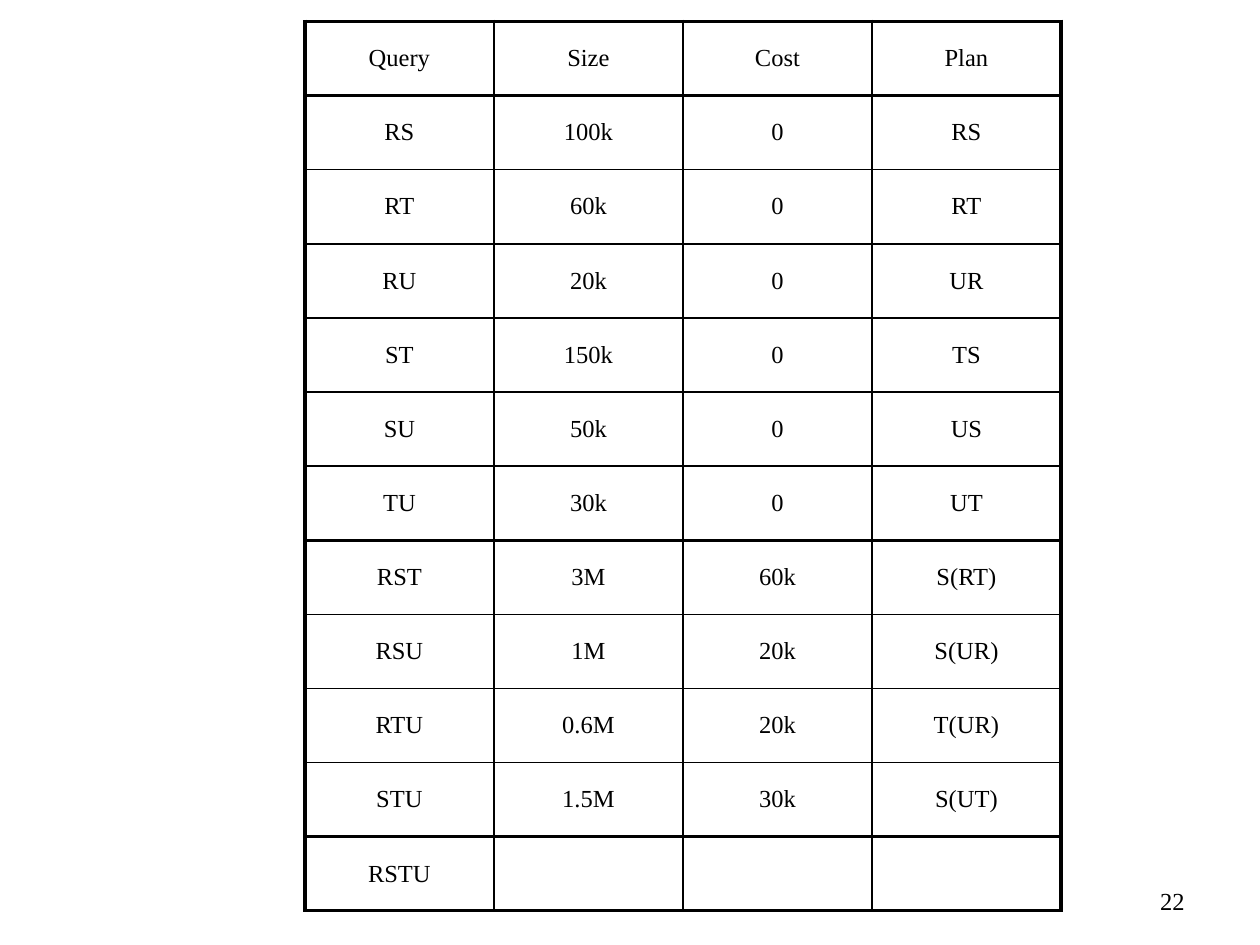
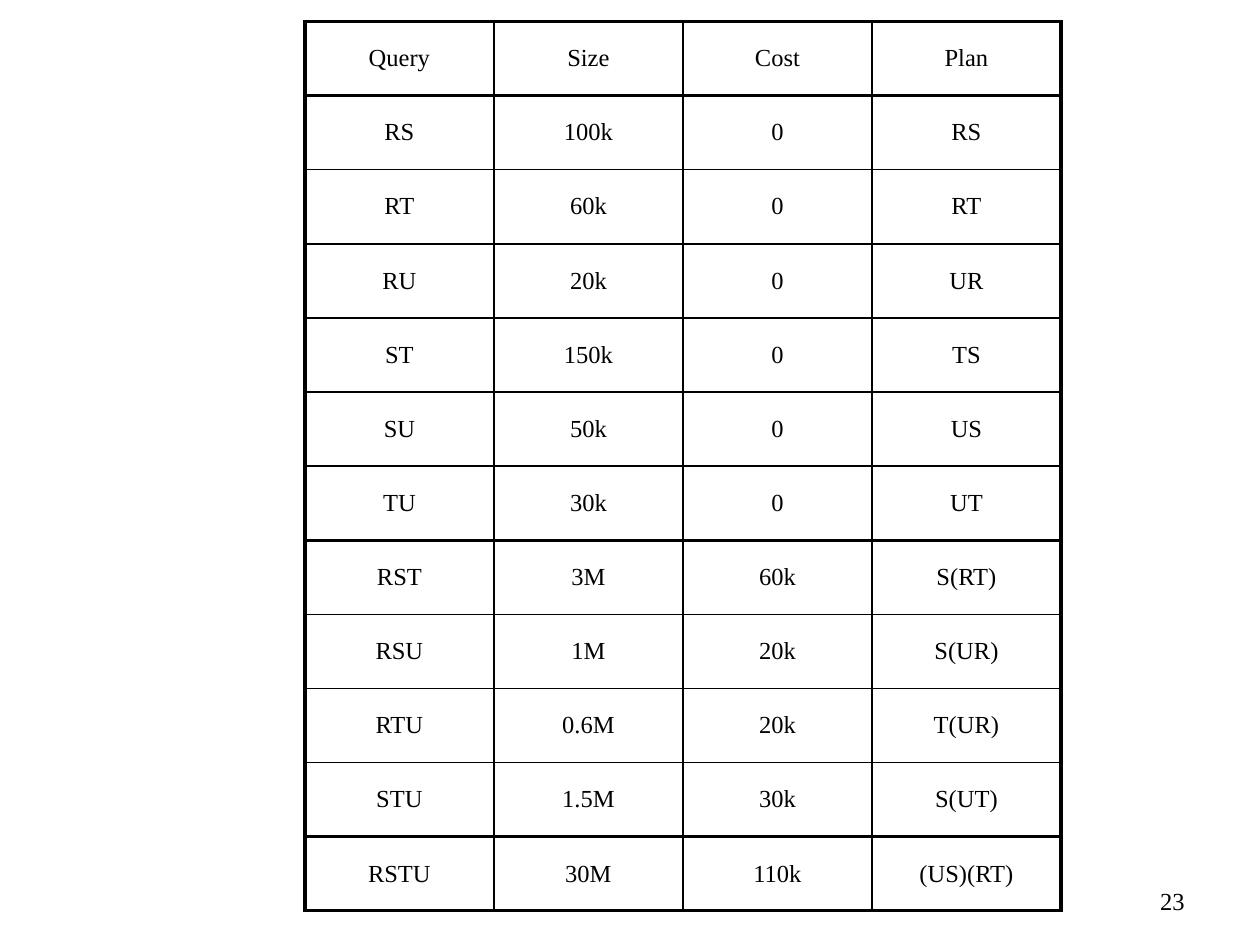
from lxml import etree
from pptx import Presentation
from pptx.dml.color import RGBColor
from pptx.enum.text import MSO_ANCHOR, PP_ALIGN
from pptx.oxml.ns import qn
from pptx.util import Inches, Pt

MID = MSO_ANCHOR.MIDDLE
CENTER, RIGHT = PP_ALIGN.CENTER, PP_ALIGN.RIGHT
HUES = {"ink": "000000", "page": "FFFFFF"}
FONT, SIZE = "Times New Roman", 14
THIN, THICK = 1, 2.25
WIDE, HIGH = Inches(10), Inches(7.5)
GRID = (Inches(2.42), Inches(0.17), Inches(6), Inches(7.06))
FOOT = (Inches(7.17), Inches(6.95), Inches(2.33), Inches(0.4))

HEAD = ("Query", "Size", "Cost", "Plan")
PAIRS = [
    ("RS", "100k", "0", "RS"),
    ("RT", "60k", "0", "RT"),
    ("RU", "20k", "0", "UR"),
    ("ST", "150k", "0", "TS"),
    ("SU", "50k", "0", "US"),
    ("TU", "30k", "0", "UT"),
]
TRIPLES = [
    ("RST", "3M", "60k", "S(RT)"),
    ("RSU", "1M", "20k", "S(UR)"),
    ("RTU", "0.6M", "20k", "T(UR)"),
    ("STU", "1.5M", "30k", "S(UT)"),
]
PAGES = [
    ("22", ("RSTU", "", "", "")),
    ("23", ("RSTU", "30M", "110k", "(US)(RT)")),
]


def write(para, text, align):
    para.alignment = align
    run = para.add_run()
    run.text = text
    run.font.name = FONT
    run.font.size = Pt(SIZE)
    run.font.color.rgb = RGBColor.from_string(HUES["ink"])


def edge(cell, side, width):
    line = etree.SubElement(cell._tc.get_or_add_tcPr(), qn("a:ln" + side),
                            w=str(Pt(width)), cap="flat", cmpd="sng")
    fill = etree.SubElement(line, qn("a:solidFill"))
    etree.SubElement(fill, qn("a:srgbClr"), val=HUES["ink"])
    etree.SubElement(line, qn("a:prstDash"), val="solid")


def costs(slide, box, groups):
    rows = [row for group in groups for row in group]
    cuts = {0}
    for group in groups:
        cuts.add(max(cuts) + len(group))
    sides = {0, len(HEAD)}
    table = slide.shapes.add_table(len(rows), len(HEAD), *box).table
    table.first_row = table.horz_banding = False
    for col in table.columns:
        col.width = box[2] // len(HEAD)
    for y, row in enumerate(rows):
        table.rows[y].height = box[3] // len(rows)
        for x, text in enumerate(row):
            cell = table.cell(y, x)
            cell.vertical_anchor = MID
            for side, heavy in (("L", x in sides), ("R", x + 1 in sides),
                                ("T", y in cuts), ("B", y + 1 in cuts)):
                edge(cell, side, THICK if heavy else THIN)
            cell.fill.background()
            if text:
                para = cell.text_frame.paragraphs[0]
                para.space_before = Pt(0.2 * SIZE)
                write(para, text, CENTER)


def footer(slide, box, number):
    frame = slide.shapes.add_textbox(*box).text_frame
    frame.word_wrap = True
    frame.vertical_anchor = MID
    write(frame.paragraphs[0], number, RIGHT)


def page(deck, number, last):
    slide = deck.slides.add_slide(deck.slide_layouts[6])
    fill = slide.background.fill
    fill.solid()
    fill.fore_color.rgb = RGBColor.from_string(HUES["page"])
    footer(slide, FOOT, number)
    costs(slide, GRID, [[HEAD], PAIRS, TRIPLES, [last]])


deck = Presentation()
deck.slide_width, deck.slide_height = WIDE, HIGH
for number, last in PAGES:
    page(deck, number, last)
deck.save("out.pptx")
